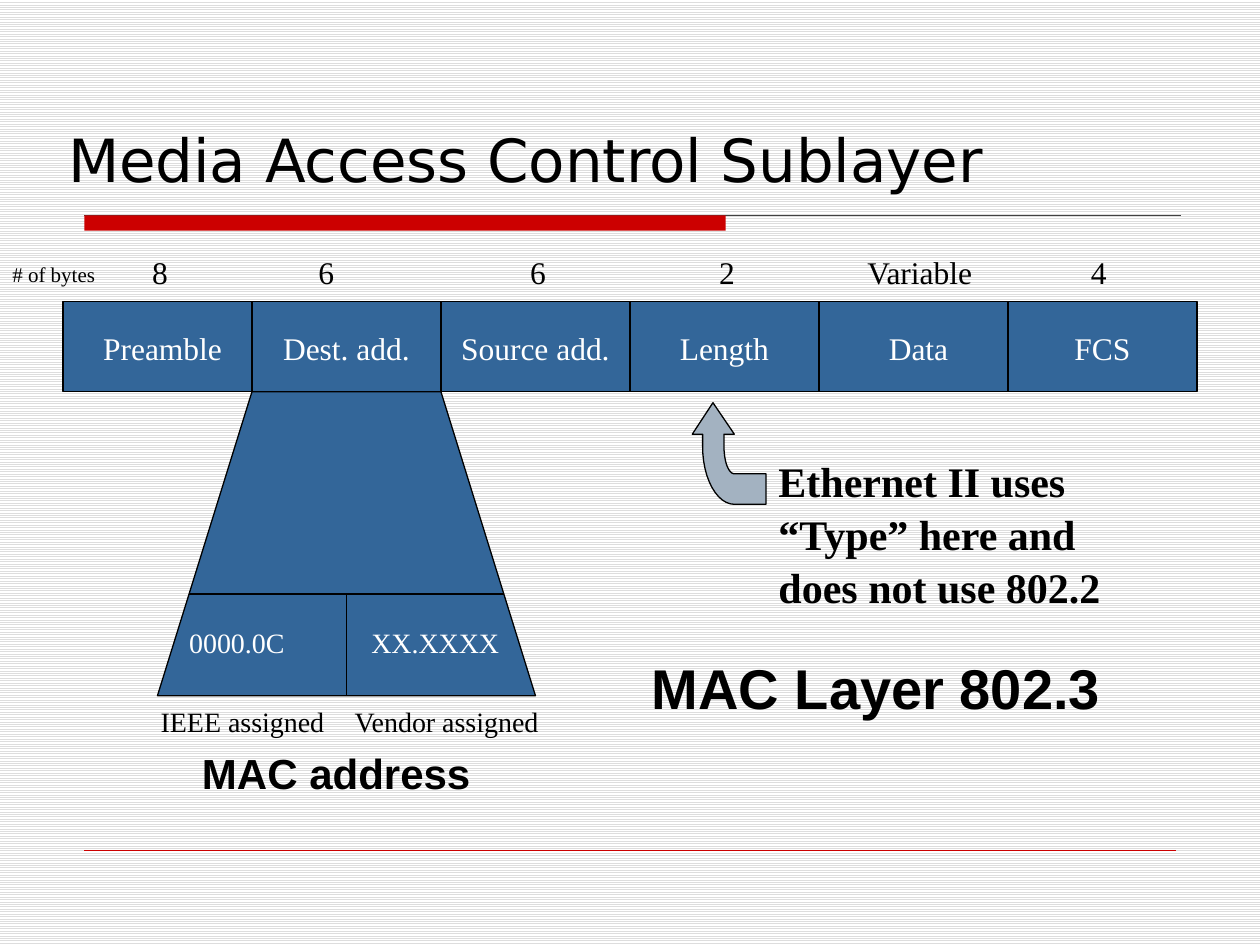
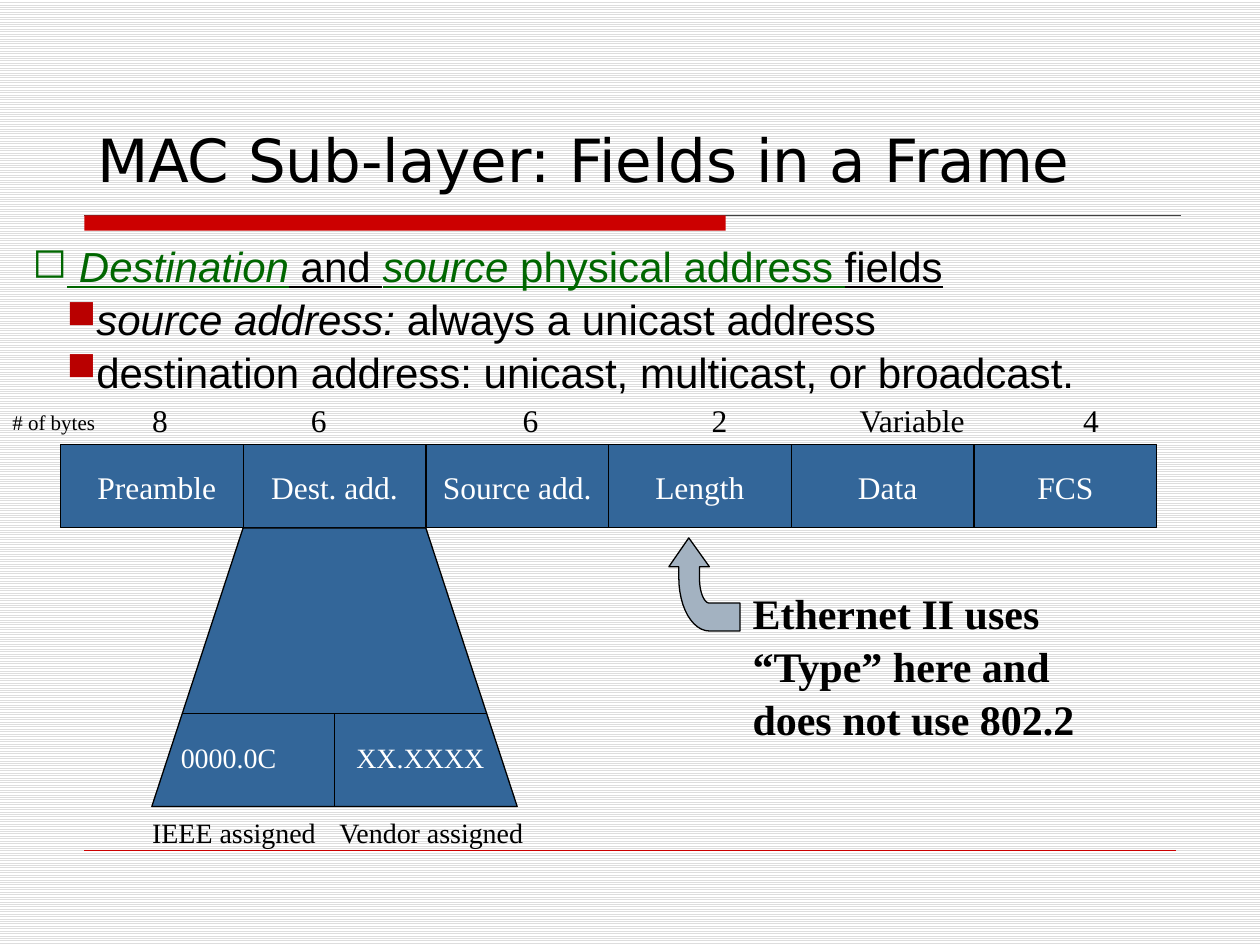
import math
from dataclasses import dataclass

from lxml import etree
from pptx import Presentation
from pptx import util as u
from pptx.dml.color import RGBColor
from pptx.enum import dml, shapes, text
from pptx.oxml import ns


@dataclass(frozen=True)
class Theme:
    sans: str = "Arial"
    serif: str = "Times New Roman"
    title_font: str = "DejaVu Sans"
    black: str = "000000"
    white: str = "FFFFFF"
    stripe: str = "DDDDDD"
    red: str = "CC0000"
    rule: str = "404040"
    bullet: str = "B90000"
    green: str = "006600"
    field: str = "336699"
    arrow: str = "A3B2C1"
    title: int = 34
    headline: int = 32
    body: int = 24
    label: int = 18
    address: int = 16
    small: int = 12
    leading: float = 1.05


@dataclass(frozen=True)
class Frame:
    left: float
    top: float
    col: float
    row: float
    bytes_shift: float = 0

    def x(self, cols):
        return self.left + cols * self.col

    def y(self, rows):
        return self.top + rows * self.row


T = Theme()
FIELDS = ["Preamble", "Dest. add.", "Source add.", "Length", "Data", "FCS"]
BYTES = [("8", 1.27), ("6", 2.59), ("6", 4.27), ("2", 5.77),
         ("Variable", 7.3), ("4", 8.72)]
WIDE_FIELDS = ("Preamble", "Data")
LEFT, CENTER = text.PP_ALIGN.LEFT, text.PP_ALIGN.CENTER
TOP, MIDDLE = text.MSO_ANCHOR.TOP, text.MSO_ANCHOR.MIDDLE


def rgb(color):
    return RGBColor.from_string(color)


def inches(*lengths):
    return [u.Inches(n) for n in lengths]


def style(r, size, font, color, bold=False):
    r.font.size = u.Pt(size)
    r.font.name = font
    r.font.color.rgb = rgb(color)
    r.font.bold = bold


def paint(sp, fill, line=T.black):
    sp.shadow.inherit = False
    sp.fill.solid()
    sp.fill.fore_color.rgb = rgb(fill)
    if line:
        sp.line.color.rgb = rgb(line)
        sp.line.width = u.Pt(0.75)
    else:
        sp.line.fill.background()


def write(sp, words, size, font=T.serif, color=T.black, bold=False,
          align=LEFT, anchor=TOP, wrap=True):
    tf = sp.text_frame
    tf.text = words
    tf.word_wrap = wrap
    tf.vertical_anchor = anchor
    p = tf.paragraphs[0]
    p.alignment = align
    p.line_spacing = T.leading
    style(p.runs[0], size, font, color, bold)


def add_text(s, x, y, w, h, words, size, **look):
    write(s.shapes.add_textbox(*inches(x, y, w, h)), words, size, **look)


def add_centered(s, x, y, words, size, color=T.black, w=1.8, h=0.4):
    add_text(s, x - w / 2, y, w, h, words, size, color=color,
             align=CENTER, anchor=MIDDLE, wrap=False)


def add_rect(s, x, y, w, h, fill, line=T.black):
    sp = s.shapes.add_shape(shapes.MSO_SHAPE.RECTANGLE, *inches(x, y, w, h))
    paint(sp, fill, line)
    return sp


def add_line(s, x1, y1, x2, y2, color=T.black, width=0.75):
    line = s.shapes.add_connector(shapes.MSO_CONNECTOR.STRAIGHT, *inches(x1, y1, x2, y2))
    line.line.color.rgb = rgb(color)
    line.line.width = u.Pt(width)
    etree.SubElement(line._element.spPr, ns.qn("a:effectLst"))


def add_outline(s, points, fill):
    points = [inches(*point) for point in points]
    builder = s.shapes.build_freeform(*points[0])
    builder.add_line_segments(points[1:], close=True)
    paint(builder.convert_to_shape(), fill)


def quarter_arc(rx, ry, steps=12):
    angles = [math.pi / 2 * i / steps for i in range(steps + 1)]
    return [(0.57 - rx * math.cos(a), 0.43 + ry * math.sin(a)) for a in angles]


def add_bent_arrow(s, x, y, w, h):
    shares = [(0.28, 0), (0, 0.31), (0.14, 0.31), *quarter_arc(0.43, 0.57),
              (1, 1), (1, 0.7), *reversed(quarter_arc(0.14, 0.27)),
              (0.43, 0.31), (0.57, 0.31)]
    add_outline(s, [(x + w * px, y + h * py) for px, py in shares], T.arrow)


def add_fields(s, f):
    for i, name in enumerate(FIELDS):
        extra = 0.08 if name in WIDE_FIELDS else 0
        sp = add_rect(s, f.x(i), f.top, f.col + extra, f.row, T.field)
        write(sp, name, T.label, color=T.white, align=CENTER, anchor=MIDDLE, wrap=False)
    add_text(s, 0, f.y(-0.58), 1, 0.4, "# of bytes", T.small, anchor=MIDDLE, wrap=False)
    for i, (count, center) in enumerate(BYTES):
        shift = f.bytes_shift if i else 0
        add_centered(s, center + shift, f.y(-0.61), count, T.label)


def add_address(s, f):
    split, base = 3.23, 4.35
    corners = [(1, 1), (2, 1), (2.5, base), (0.5, base)]
    add_outline(s, [(f.x(c), f.y(r)) for c, r in corners], T.field)
    inset = 0.5 * (base - split) / (base - 1)
    add_line(s, f.x(0.5 + inset), f.y(split), f.x(2.5 - inset), f.y(split))
    add_line(s, f.x(1.5), f.y(split), f.x(1.5), f.y(base))
    for col, words in ((0.92, "0000.0C"), (1.97, "XX.XXXX")):
        add_centered(s, f.x(col), f.y(3.75) - 0.2, words, T.address, T.white)
    for col, words in ((0.95, "IEEE assigned"), (2.03, "Vendor assigned")):
        add_centered(s, f.x(col), f.y(base), words, T.address)


def add_frame_diagram(s, f):
    add_fields(s, f)
    add_bent_arrow(s, f.x(3.33), f.y(1.12), 0.39 * f.col, 1.12 * f.row)
    add_text(s, f.x(3.72), f.y(1.61), 1.94 * f.col, 1.3,
             "Ethernet II uses “Type” here and does not use 802.2", T.body, bold=True)
    add_address(s, f)


def add_bullet(p, char, margin, color=None):
    pPr = p._p.get_or_add_pPr()
    pPr.set("marL", str(u.Inches(margin)))
    pPr.set("indent", str(-u.Inches(0.23)))
    if color:
        clr = etree.SubElement(pPr, ns.qn("a:buClr"))
        etree.SubElement(clr, ns.qn("a:srgbClr")).set("val", color)
        etree.SubElement(pPr, ns.qn("a:buSzPct")).set("val", "95000")
    etree.SubElement(pPr, ns.qn("a:buChar")).set("char", char)


def add_address_rules(s):
    tf = s.shapes.add_textbox(*inches(0.16, 1.84, 9.14, 1.31)).text_frame
    tf.word_wrap = True
    rules = [
        [(" Destination", T.green, True), (" and ", T.black, False),
         ("source ", T.green, True), ("physical address ", T.green, False),
         ("fields", T.black, False)],
        [("source address: ", T.black, True),
         ("always a unicast address", T.black, False)],
        [("destination address: unicast, multicast, or broadcast.", T.black, False)],
    ]
    for i, runs in enumerate(rules):
        p = tf.add_paragraph() if i else tf.paragraphs[0]
        if i:
            p.level = 1
            add_bullet(p, "■", 0.5, T.bullet)
        else:
            add_bullet(p, "◻", 0.23)
        p.line_spacing = T.leading
        for words, color, italic in runs:
            r = p.add_run()
            r.text = words
            style(r, T.body, T.sans, color)
            r.font.italic = italic
            r.font.underline = i == 0


def add_slide(prs, title, left, width):
    s = prs.slides.add_slide(prs.slide_layouts[5])
    add_line(s, 0.67, 1.71, 9.37, 1.71, T.rule)
    add_rect(s, 0.67, 1.71, 5.09, 0.12, T.red, None)
    add_line(s, 0.67, 6.75, 9.33, 6.75, T.red, 0.25)
    sp = s.shapes.title
    sp.left, sp.top, sp.width, sp.height = inches(left, 0.84, width, 0.75)
    tf = sp.text_frame
    tf.text = title
    tf.auto_size = text.MSO_AUTO_SIZE.NONE
    tf.vertical_anchor = text.MSO_ANCHOR.BOTTOM
    p = tf.paragraphs[0]
    p.alignment = LEFT
    style(p.runs[0], T.title, T.title_font, T.black)
    return s


def set_background(prs):
    fill = prs.slide_master.background.fill
    fill.patterned()
    fill.pattern = dml.MSO_PATTERN.LIGHT_HORIZONTAL
    fill.fore_color.rgb = rgb(T.stripe)
    fill.back_color.rgb = rgb(T.white)


def main():
    prs = Presentation()
    prs.slide_width, prs.slide_height = inches(10, 7.5)
    set_background(prs)

    s = add_slide(prs, "Media Access Control Sublayer", 0.44, 9.56)
    f = Frame(left=0.5, top=2.39, col=1.5, row=0.72)
    add_frame_diagram(s, f)
    add_text(s, f.x(0.67), f.y(4.82), 3.33, 0.5, "MAC address", T.body,
             font=T.sans, bold=True)
    add_text(s, f.x(3.05), f.y(3.78), 4.33, 0.63, "MAC Layer 802.3", T.headline,
             font=T.sans, bold=True)

    s = add_slide(prs, "MAC Sub-layer: Fields in a Frame", 0.67, 8.33)
    add_address_rules(s)
    add_frame_diagram(s, Frame(left=0.48, top=3.53, col=1.45, row=0.66, bytes_shift=-0.06))

    prs.save("out.pptx")


if __name__ == "__main__":
    main()
